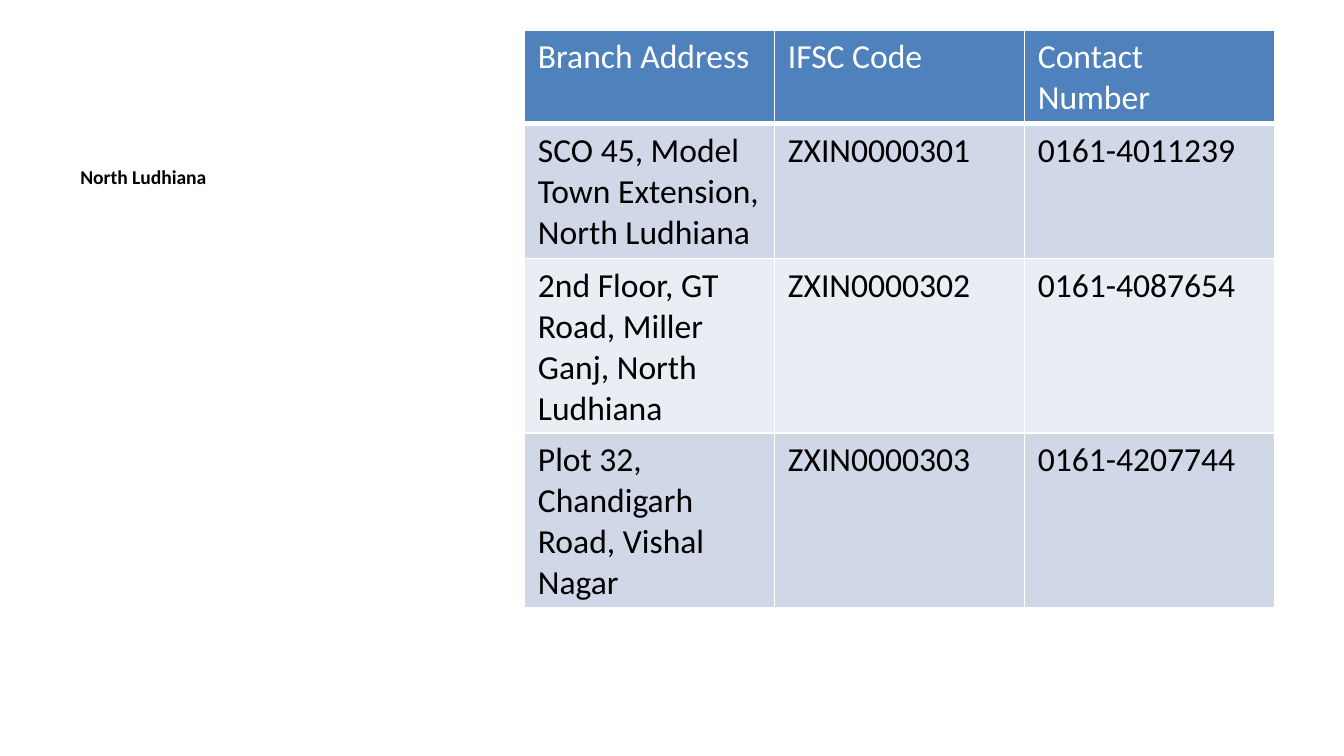
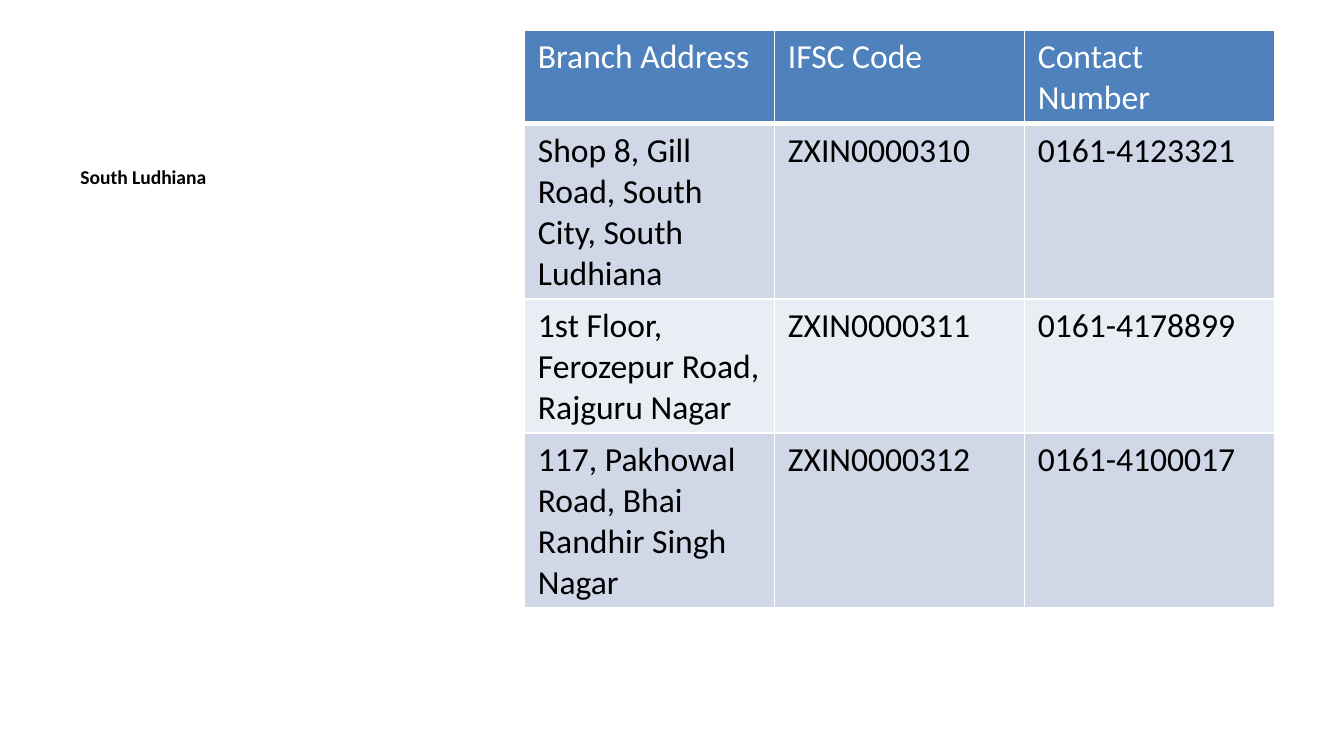
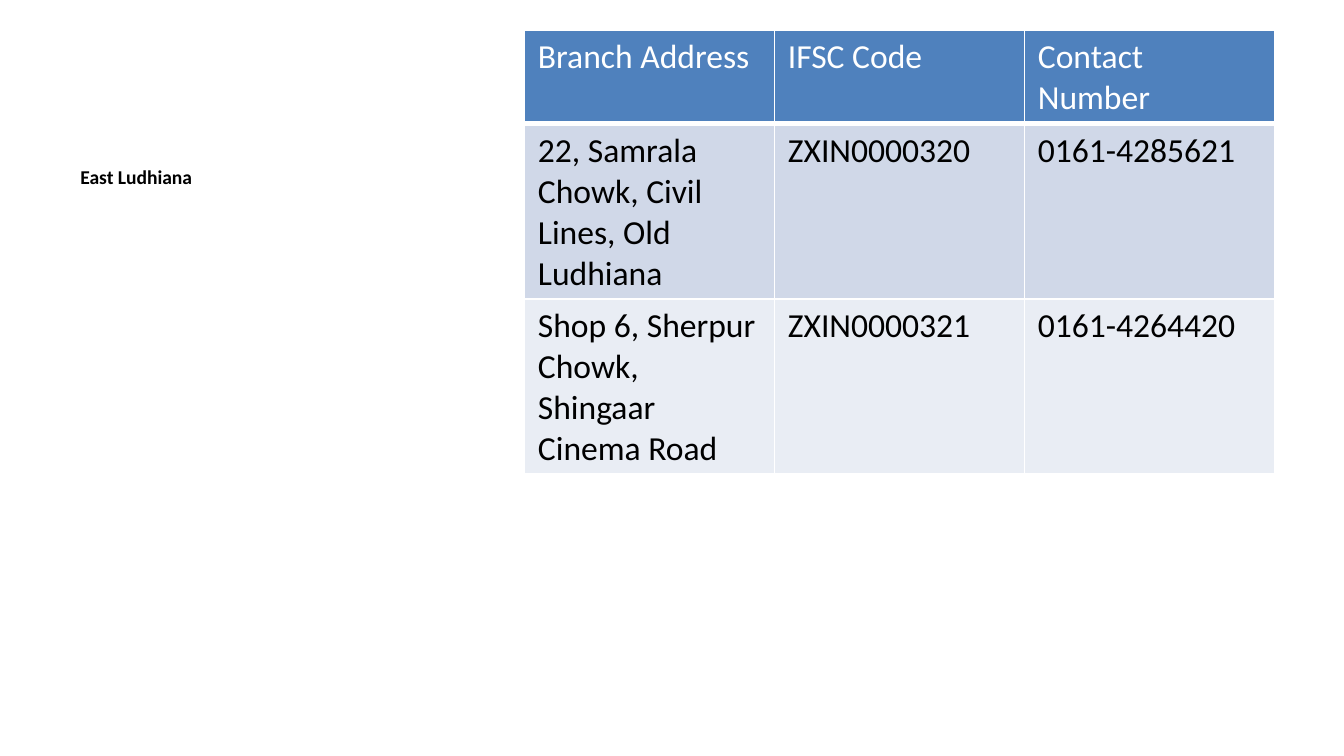
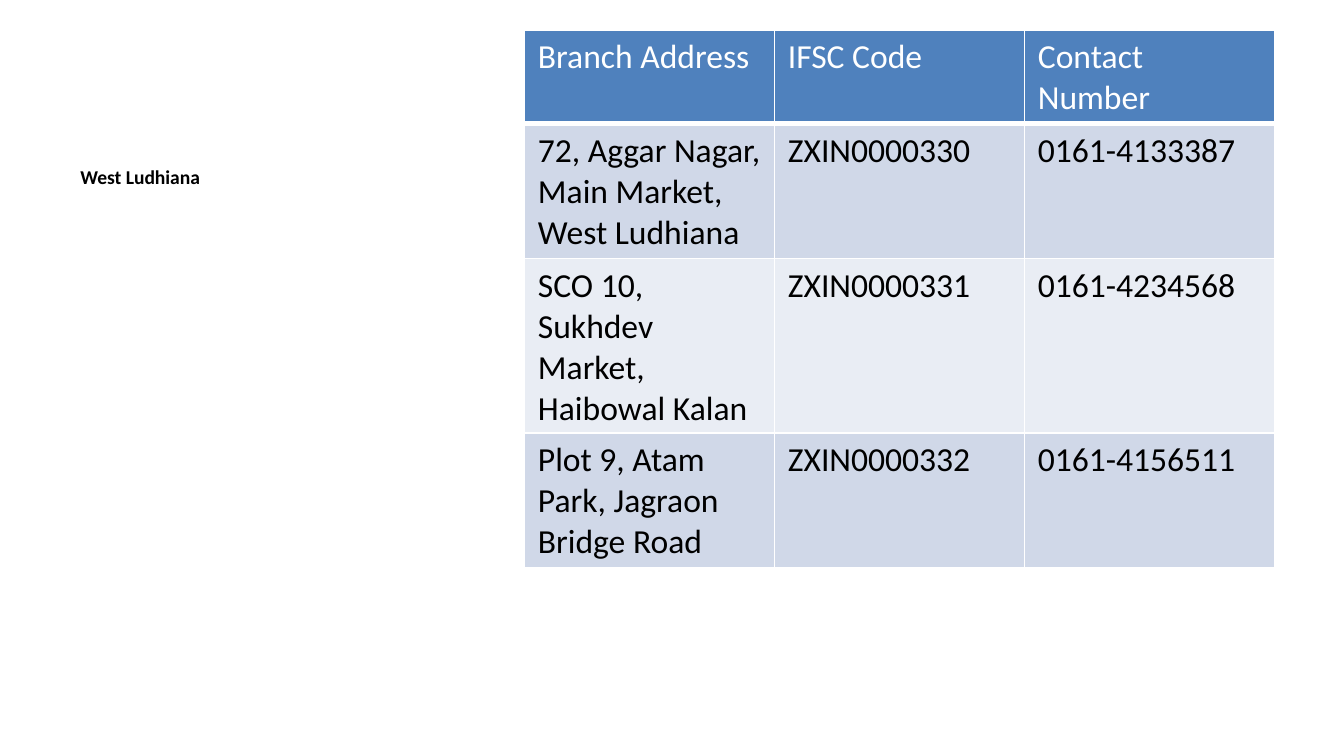
from dataclasses import dataclass
from typing import NamedTuple

import pptx
import pptx.dml.color
import pptx.oxml.ns
import pptx.slide
import pptx.table
import pptx.text.text
import pptx.util
from lxml import etree

Pt = pptx.util.Pt


@dataclass(frozen=True)
class Theme:
    font: str = "Calibri"
    title_size: float = 10.5
    table_size: float = 18
    text: str = "000000"
    white: str = "FFFFFF"
    header: str = "4F81BD"
    bands: tuple[str, str] = ("D0D8E8", "E9EDF4")
    border: float = 1
    header_rule: float = 3


class Box(NamedTuple):
    left: float
    top: float
    width: float
    height: float

    def lengths(self) -> list[pptx.util.Length]:
        return [Pt(value) for value in self]


class Branch(NamedTuple):
    address: str
    ifsc_code: str
    contact_number: str


class Region(NamedTuple):
    name: str
    branches: tuple[Branch, ...]


THEME = Theme()
SLIDE_WIDTH, SLIDE_HEIGHT = 720, 405
TITLE_BOX = Box(36, 85, 237, 277)
TABLE_BOX = Box(281, 16, 401.76, 344.88)
HEADINGS = ("Branch Address", "IFSC Code", "Contact Number")

REGIONS = (
    Region("North Ludhiana", (
        Branch("SCO 45, Model Town Extension, North Ludhiana", "ZXIN0000301", "0161-4011239"),
        Branch("2nd Floor, GT Road, Miller Ganj, North Ludhiana", "ZXIN0000302", "0161-4087654"),
        Branch("Plot 32, Chandigarh Road, Vishal Nagar", "ZXIN0000303", "0161-4207744"),
    )),
    Region("South Ludhiana", (
        Branch("Shop 8, Gill Road, South City, South Ludhiana", "ZXIN0000310", "0161-4123321"),
        Branch("1st Floor, Ferozepur Road, Rajguru Nagar", "ZXIN0000311", "0161-4178899"),
        Branch("117, Pakhowal Road, Bhai Randhir Singh Nagar", "ZXIN0000312", "0161-4100017"),
    )),
    Region("East Ludhiana", (
        Branch("22, Samrala Chowk, Civil Lines, Old Ludhiana", "ZXIN0000320", "0161-4285621"),
        Branch("Shop 6, Sherpur Chowk, Shingaar Cinema Road", "ZXIN0000321", "0161-4264420"),
    )),
    Region("West Ludhiana", (
        Branch("72, Aggar Nagar, Main Market, West Ludhiana", "ZXIN0000330", "0161-4133387"),
        Branch("SCO 10, Sukhdev Market, Haibowal Kalan", "ZXIN0000331", "0161-4234568"),
        Branch("Plot 9, Atam Park, Jagraon Bridge Road", "ZXIN0000332", "0161-4156511"),
    )),
)


def rgb(color: str) -> pptx.dml.color.RGBColor:
    return pptx.dml.color.RGBColor.from_string(color)


def write_text(frame: pptx.text.text.TextFrame, text: str, size: float,
               color: str, bold: bool = False) -> None:
    paragraph = frame.paragraphs[0]
    paragraph.text = text
    font = paragraph.font
    font.name, font.size, font.bold = THEME.font, Pt(size), bold
    font.color.rgb = rgb(color)


def add_borders(cell: pptx.table._Cell, bottom_width: float) -> None:
    """Rule all four sides; call before setting the fill, which follows in the schema."""
    qn = pptx.oxml.ns.qn
    properties = cell._tc.get_or_add_tcPr()
    for side in "LRTB":
        width = bottom_width if side == "B" else THEME.border
        line = etree.SubElement(properties, qn(f"a:ln{side}"), w=str(Pt(width)))
        fill = etree.SubElement(line, qn("a:solidFill"))
        etree.SubElement(fill, qn("a:srgbClr"), val=THEME.white)


def style_cell(cell: pptx.table._Cell, text: str, row_index: int) -> None:
    is_header = row_index == 0
    add_borders(cell, THEME.header_rule if is_header else THEME.border)
    cell.fill.solid()
    cell.fill.fore_color.rgb = rgb(THEME.header if is_header else THEME.bands[(row_index - 1) % 2])
    write_text(cell.text_frame, text, THEME.table_size, THEME.white if is_header else THEME.text)


def add_region_title(slide: pptx.slide.Slide, name: str) -> None:
    frame = slide.shapes.add_textbox(*TITLE_BOX.lengths()).text_frame
    frame.word_wrap = True
    write_text(frame, name, THEME.title_size, THEME.text, bold=True)


def add_branch_table(slide: pptx.slide.Slide, branches: tuple[Branch, ...]) -> None:
    rows = (HEADINGS, *branches)
    shape = slide.shapes.add_table(len(rows), len(HEADINGS), *TABLE_BOX.lengths())
    table = shape.table
    table.first_row = table.horz_banding = False
    for row_index, texts in enumerate(rows):
        table.rows[row_index].height = Pt(0)  # each row grows to fit its text
        for column_index, text in enumerate(texts):
            style_cell(table.cell(row_index, column_index), text, row_index)
    shape.height = Pt(TABLE_BOX.height)


def main() -> None:
    presentation = pptx.Presentation()
    presentation.slide_width, presentation.slide_height = Pt(SLIDE_WIDTH), Pt(SLIDE_HEIGHT)
    blank_layout = presentation.slide_layouts[6]
    for region in REGIONS:
        slide = presentation.slides.add_slide(blank_layout)
        add_region_title(slide, region.name)
        add_branch_table(slide, region.branches)
    presentation.save("out.pptx")


if __name__ == "__main__":
    main()
